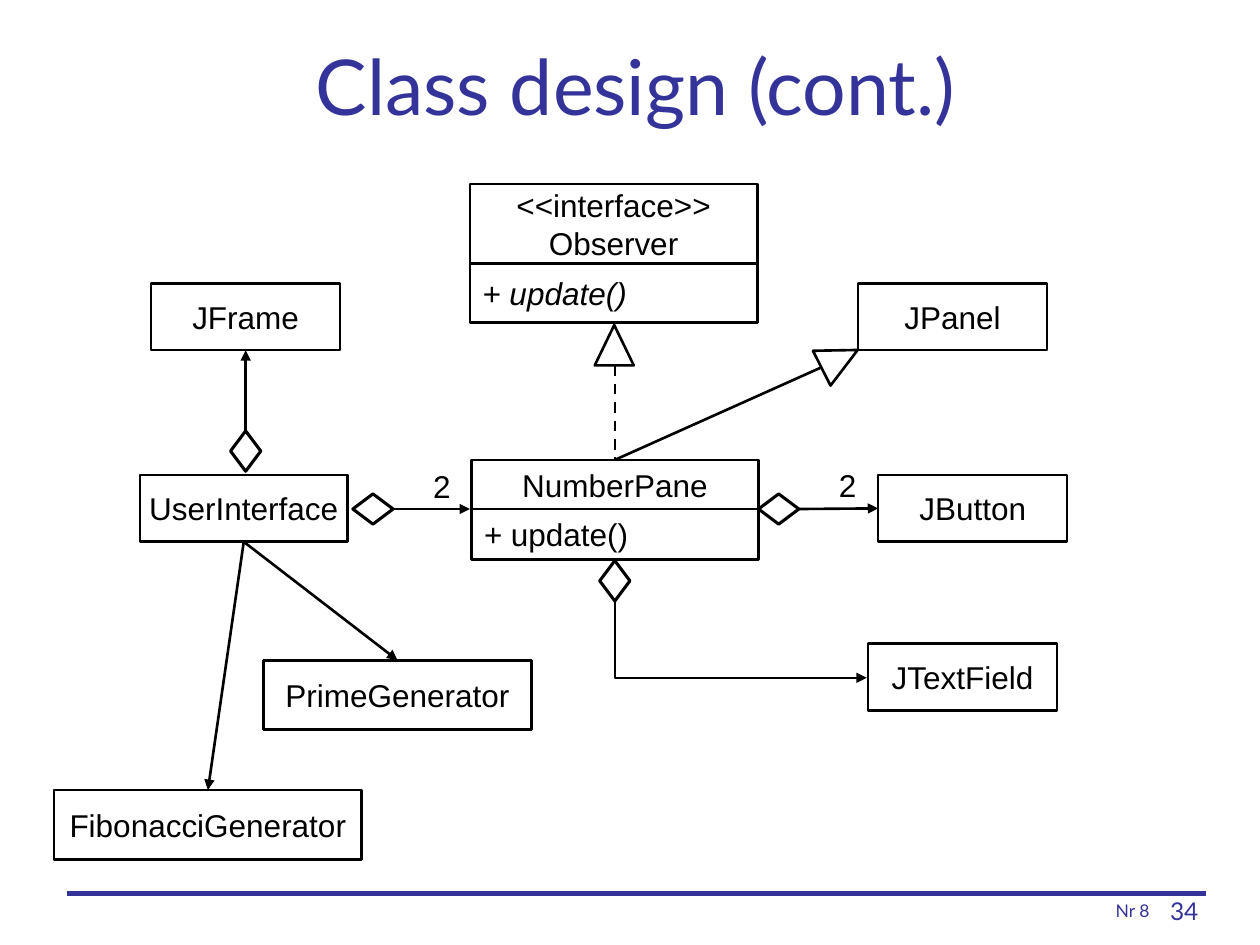
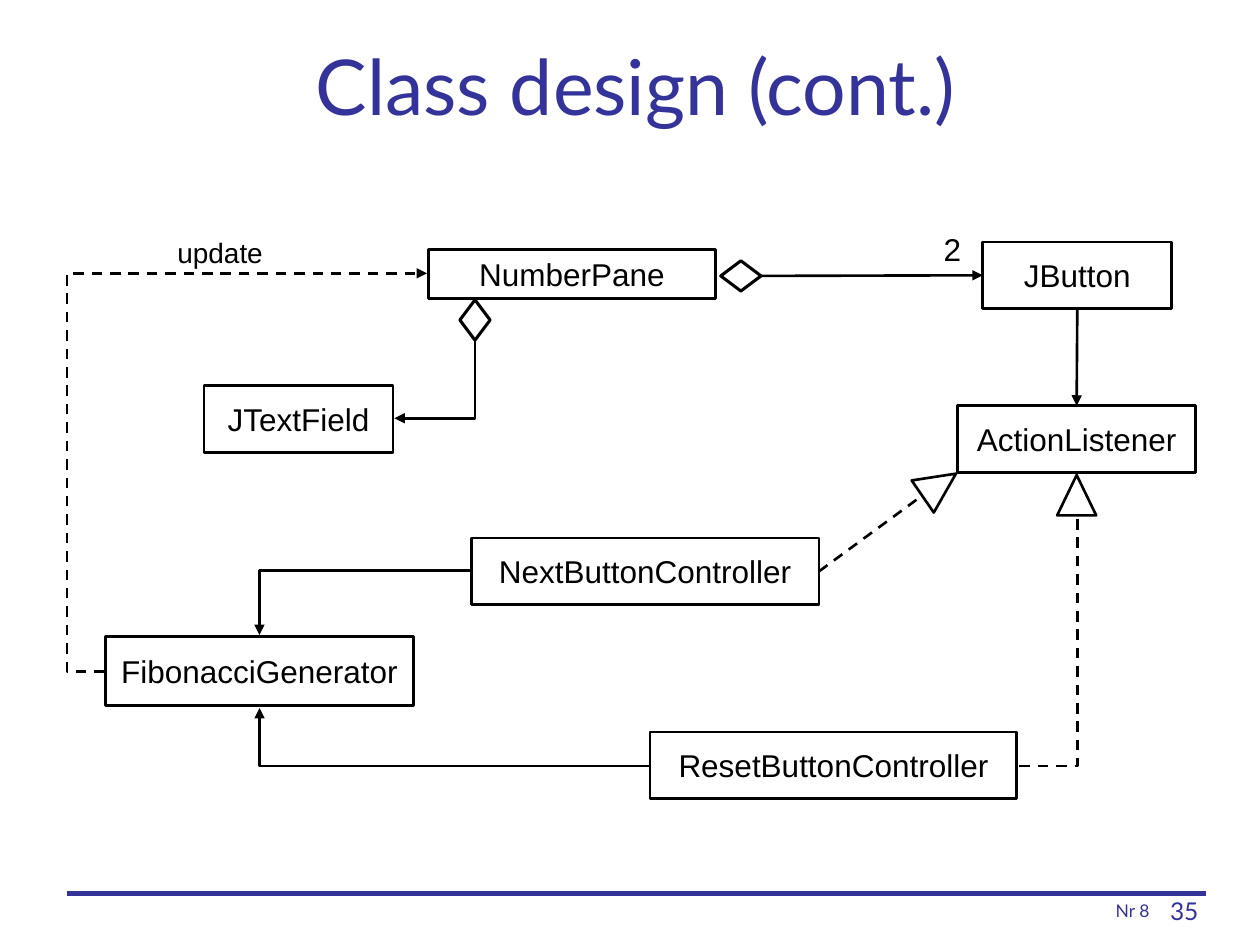
from lxml import etree
from pptx import Presentation
from pptx.dml.color import RGBColor
from pptx.enum.dml import MSO_LINE
from pptx.enum.shapes import MSO_CONNECTOR, MSO_SHAPE
from pptx.enum.text import MSO_ANCHOR, PP_ALIGN
from pptx.oxml.ns import qn
from pptx.util import Inches, Pt

RECT, DIAMOND, TRIANGLE = MSO_SHAPE.RECTANGLE, MSO_SHAPE.DIAMOND, MSO_SHAPE.ISOSCELES_TRIANGLE
STRAIGHT, ELBOW = MSO_CONNECTOR.STRAIGHT, MSO_CONNECTOR.ELBOW
LEFT, CENTER, RIGHT = PP_ALIGN.LEFT, PP_ALIGN.CENTER, PP_ALIGN.RIGHT
TOP, MIDDLE, BOTTOM = MSO_ANCHOR.TOP, MSO_ANCHOR.MIDDLE, MSO_ANCHOR.BOTTOM
DASH = MSO_LINE.DASH
# Connection sites of rectangles and diamonds
SITE_TOP, SITE_LEFT, SITE_BOTTOM, SITE_RIGHT = range(4)

INK, ACCENT = "000000", "333399"
BODY_FONT, HEAD_FONT = "Arial", "Lato"


def rgb(value):
    return RGBColor.from_string(value)


class Deck:
    """Holds the presentation, its style and the current slide."""

    def __init__(self):
        self.prs = Presentation()
        self.prs.slide_width, self.prs.slide_height = Inches(10), Inches(7.5)
        self.shapes = None

    def slide(self, title, number):
        self.shapes = self.prs.slides.add_slide(self.prs.slide_layouts[6]).shapes
        head = dict(name=HEAD_FONT, color=ACCENT)
        self.label(title, 0.51, 0.05, 9.07, 1.25, CENTER, MIDDLE, size=44, **head)
        # Footer
        self.line((0.53, 7.09), (9.57, 7.09), arrow=False, color=ACCENT, width=3)
        self.label("Nr 8", 7.44, 7.06, 1.78, 0.3, RIGHT, BOTTOM, size=10, **head)
        self.label(f"{number} ", 9.08, 7.06, 0.58, 0.33, RIGHT, size=14, **head)

    # Text
    def set_text(self, s, text, align, anchor, wrap, size=18, name=BODY_FONT,
                 color=INK, italic=()):
        """Each paragraph is a string or a list of runs; italic lists run texts."""
        tf = s.text_frame
        tf.word_wrap, tf.vertical_anchor = wrap, anchor
        paragraphs = [text] if isinstance(text, str) else text
        for i, runs in enumerate(paragraphs):
            p = tf.paragraphs[0] if i == 0 else tf.add_paragraph()
            p.alignment = align
            for part in [runs] if isinstance(runs, str) else runs:
                r = p.add_run()
                r.text = part
                style = dict(size=Pt(size), name=name, italic=part in italic)
                for key, value in style.items():
                    setattr(r.font, key, value)
                r.font.color.rgb = rgb(color)

    def label(self, text, x, y, w, h, align=LEFT, anchor=TOP, **font):
        s = self.shapes.add_textbox(Inches(x), Inches(y), Inches(w), Inches(h))
        self.set_text(s, text, align, anchor, True, **font)

    # Outlined shapes
    def outline(self, kind, x, y, w, h, width=1.5, rotation=0):
        s = self.shapes.add_shape(kind, Inches(x), Inches(y), Inches(w), Inches(h))
        s.shadow.inherit = False
        s.fill.background()
        s.line.color.rgb, s.line.width = rgb(INK), Pt(width)
        s.rotation = rotation
        return s

    def box(self, text, x, y, w=1.5, h=0.53, align=CENTER, italic=()):
        s = self.outline(RECT, x, y, w, h)
        self.set_text(s, text, align, MIDDLE, False, italic=italic)
        return s

    def diamond(self, x, y, upright=False):
        w, h = (0.24, 0.32) if upright else (0.32, 0.24)
        return self.outline(DIAMOND, x, y, w, h, 1.75)

    def triangle(self, x, y, rotation=0):
        return self.outline(TRIANGLE, x, y, 0.31, 0.32, rotation=rotation)

    # Connectors
    def line(self, start, end, kind=STRAIGHT, arrow=True, dash=False,
             color=INK, width=1.5):
        """An end is a point (x, y) or a shape with its site: (shape, site)."""
        ends = [(0, 0) if hasattr(e[0], "shape_type") else e for e in (start, end)]
        c = self.shapes.add_connector(kind, *[Inches(v) for e in ends for v in e])
        for e, join in ((start, c.begin_connect), (end, c.end_connect)):
            if hasattr(e[0], "shape_type"):
                join(*e)
        c.line.color.rgb, c.line.width = rgb(color), Pt(width)
        if dash:
            c.line.dash_style = DASH
        if arrow:
            ln = c.line._get_or_add_ln()
            etree.SubElement(ln, qn("a:tailEnd"), type="triangle")
        etree.SubElement(c._element.spPr, qn("a:effectLst"))
        return c

    def corner(self, start, end, down_first=False, **style):
        """One right-angled turn, horizontal first unless down_first."""
        if down_first:
            # The frame is turned a quarter about its centre
            (x1, y1), (x2, y2) = start, end
            cx, cy, dx, dy = (x1 + x2) / 2, (y1 + y2) / 2, x2 - x1, y2 - y1
            start = (cx - dy / 2, cy + dx / 2)
            end = (cx + dy / 2, cy - dx / 2)
        c = self.line(start, end, ELBOW, **style)
        sp_pr = c._element.spPr
        sp_pr.find(qn("a:prstGeom")).set("prst", "bentConnector2")
        if down_first:
            sp_pr.find(qn("a:xfrm")).set("rot", "5400000")

    def detour(self, start, end, bend, **style):
        """Two turns; bend is the share of the width where the middle leg lies."""
        c = self.line(start, end, ELBOW, **style)
        geom = c._element.spPr.find(qn("a:prstGeom"))
        guides = geom.find(qn("a:avLst"))
        if guides is None:
            guides = etree.SubElement(geom, qn("a:avLst"))
        etree.SubElement(guides, qn("a:gd"), name="adj1", fmla=f"val {round(bend * 100000)}")


def structure_slide(d):
    d.slide("Class design (cont.)", 34)

    # Classes
    pane = d.box("NumberPane", 3.74, 3.65, 2.28, 0.39)
    d.box([["+ ", "update()"]], 3.74, 4.04, 2.28, 0.4, LEFT, italic=["+ "])
    d.box(["<<interface>>", "Observer"], 3.73, 1.46, 2.28, 0.63)
    d.box("+ update()", 3.73, 2.09, 2.28, 0.47, LEFT, italic=["+ update()"])
    d.box("JPanel", 6.81, 2.25)
    button = d.box("JButton", 6.97, 3.77)
    d.box("JTextField", 6.89, 5.11)
    frame = d.box("JFrame", 1.2, 2.25)
    interface = d.box("UserInterface", 1.11, 3.77, 1.65)
    fibonacci = d.box("FibonacciGenerator", 0.43, 6.27, 2.44, 0.55)
    prime = d.box("PrimeGenerator", 2.09, 5.24, 2.13, 0.55)

    # Inheritance
    d.triangle(4.72, 2.58)
    d.line((4.88, 2.9), (pane, SITE_TOP), arrow=False, dash=True)
    d.triangle(6.51, 2.69, 63.2)
    d.line((6.51, 2.92), (pane, SITE_TOP), arrow=False)

    # Aggregation
    d.line((d.diamond(6.02, 3.92), SITE_RIGHT), (button, SITE_LEFT))
    d.line((d.diamond(2.8, 3.92), SITE_RIGHT), (3.73, 4.04))
    d.line((d.diamond(1.83, 3.42, upright=True), SITE_TOP), (frame, SITE_BOTTOM))
    d.diamond(4.76, 4.45, upright=True)
    d.corner((4.88, 4.78), (6.88, 5.38), down_first=True)
    d.label("2", 6.56, 3.65, 0.47, 0.4)
    d.label("2", 3.34, 3.66, 0.47, 0.4)

    # Associations
    for generator in (prime, fibonacci):
        d.line((interface, SITE_BOTTOM), (generator, SITE_TOP))


def control_slide(d):
    d.slide("Class design (cont.)", 35)

    # Classes
    d.box("NumberPane", 3.4, 1.98, 2.28, 0.39)
    button = d.box("JButton", 7.8, 1.92)
    d.box("JTextField", 1.62, 3.06)
    d.box("FibonacciGenerator", 0.84, 5.05, 2.44, 0.55)
    next_controller = d.box("NextButtonController", 3.74, 4.27, 2.76)
    d.box("ResetButtonController", 5.16, 5.81, 2.91)
    listener = d.box("ActionListener", 7.6, 3.22, 1.89)

    # Aggregation
    d.line((d.diamond(5.72, 2.07), SITE_RIGHT), (button, SITE_LEFT))
    d.diamond(3.65, 2.38, upright=True)
    d.corner((3.77, 2.71), (3.13, 3.32), down_first=True)
    d.label("2", 7.39, 1.78, 0.47, 0.4)

    # Controllers and their listener interface
    d.triangle(7.3, 3.69, 55.5)
    d.line((next_controller, SITE_RIGHT), (7.31, 3.94), arrow=False, dash=True)
    d.triangle(8.39, 3.77)
    d.corner((8.09, 6.08), (8.55, 4.09), arrow=False, dash=True)
    d.line((button, SITE_BOTTOM), (listener, SITE_TOP))

    # Calls to and from the generator
    d.corner((5.15, 6.08), (2.06, 5.62))
    d.corner((3.73, 4.53), (2.06, 5.04))
    d.detour((0.83, 5.33), (3.39, 2.17), -0.116, dash=True)
    d.label("update", 1.31, 1.82, 0.94, 0.37, size=16)


def main():
    d = Deck()
    structure_slide(d)
    control_slide(d)
    d.prs.save("out.pptx")


if __name__ == "__main__":
    main()
